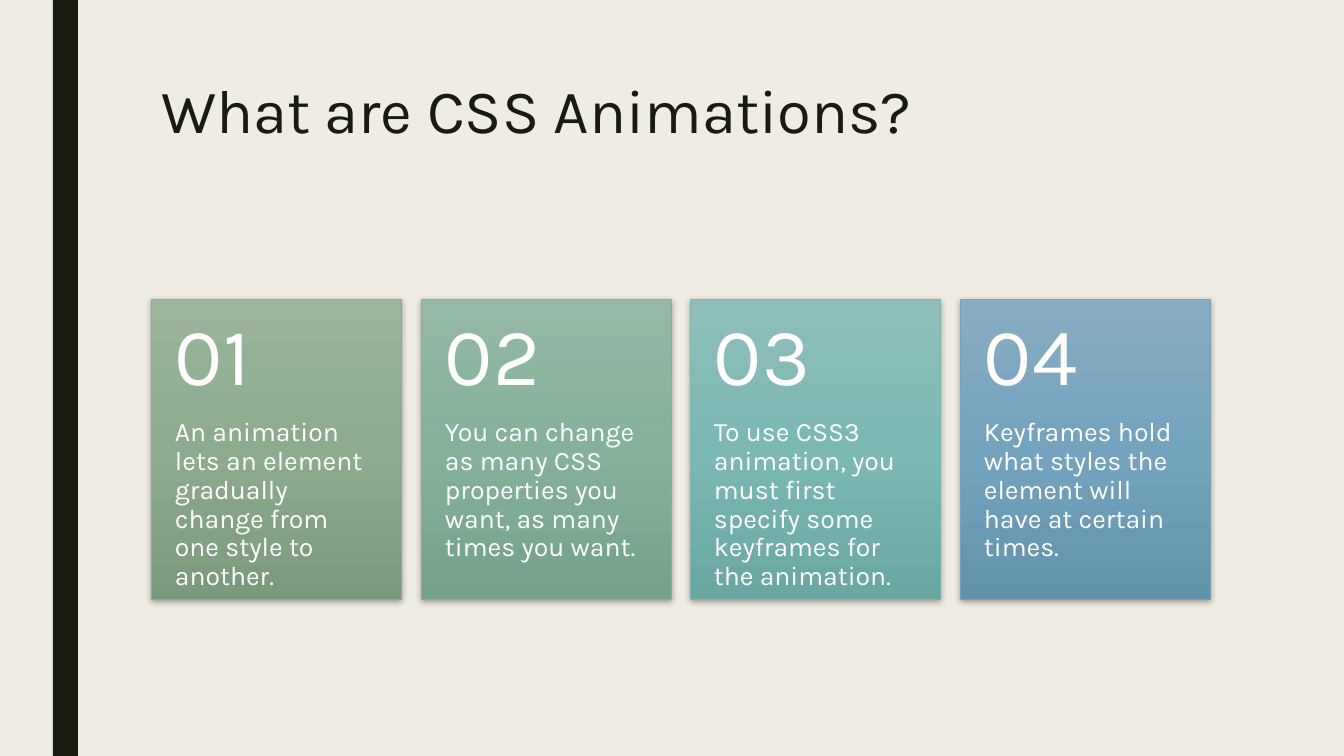
"""Builds the slide on CSS animations with four numbered cards."""
import copy

import pptx
import pptx.dml.color
import pptx.enum.shapes
import pptx.enum.text
import pptx.oxml
import pptx.oxml.ns
import pptx.util

RGB = pptx.dml.color.RGBColor
PAPER = RGB(0xEF, 0xED, 0xE3)
INK = RGB(0x19, 0x1B, 0x0E)
WHITE = RGB(0xFF, 0xFF, 0xFF)
SAGE = [RGB(0x9B, 0xB5, 0x9B), RGB(0x8C, 0xAC, 0x8D), RGB(0x7A, 0x9B, 0x7B)]
GREEN = [RGB(0x94, 0xB9, 0xA6), RGB(0x84, 0xB2, 0x9A), RGB(0x73, 0xA1, 0x89)]
TEAL = [RGB(0x8E, 0xBE, 0xBA), RGB(0x7C, 0xB8, 0xB4), RGB(0x6B, 0xA7, 0xA2)]
BLUE = [RGB(0x88, 0xAD, 0xC3), RGB(0x74, 0xA3, 0xBE), RGB(0x63, 0x92, 0xAD)]
SAGE_EDGE = RGB(0x8D, 0xAB, 0x8E)
GREEN_EDGE = RGB(0x86, 0xB0, 0x9A)
TEAL_EDGE = RGB(0x7E, 0xB6, 0xB1)
BLUE_EDGE = RGB(0x77, 0xA2, 0xBB)

CARDS = [
    ("An animation lets an element gradually change from one style to another.", SAGE, SAGE_EDGE),
    ("You can change as many CSS properties you want, as many times you want.", GREEN, GREEN_EDGE),
    ("To use CSS3 animation, you must first specify some keyframes for the animation.", TEAL, TEAL_EDGE),
    ("Keyframes hold what styles the element will have at certain times.", BLUE, BLUE_EDGE),
]
LEFT, RIGHT, TOP = 151, 1210, 299
WIDE, HIGH, HEAD = 250, 300, 120

SHADE = (
    '<a:outerShdw %s blurRad="57150" dist="19050" dir="5400000" algn="ctr" rotWithShape="0">'
    '<a:srgbClr val="000000"><a:alpha val="35000"/></a:srgbClr></a:outerShdw>'
    % pptx.oxml.ns.nsdecls("a")
)


def px(num):
    return pptx.util.Emu(round(num * 914400 / 100.8))


class Deck:
    """Holds the font and the current slide and draws each kind of element."""

    font = "Karla"
    rect = pptx.enum.shapes.MSO_SHAPE.RECTANGLE
    top = pptx.enum.text.MSO_ANCHOR.TOP
    mid = pptx.enum.text.MSO_ANCHOR.MIDDLE

    def __init__(self):
        self.file = pptx.Presentation()
        self.file.slide_width, self.file.slide_height = px(1344), px(756)
        self.slide = self.file.slides.add_slide(self.file.slide_layouts[5])
        fill = self.slide.background.fill
        fill.solid()
        fill.fore_color.rgb = PAPER

    def set_text(self, shape, text, size, color, space, pads, anchor):
        frame = shape.text_frame
        frame.word_wrap = True
        frame.auto_size = pptx.enum.text.MSO_AUTO_SIZE.NONE
        frame.vertical_anchor = anchor
        frame.margin_left, frame.margin_top, frame.margin_right, frame.margin_bottom = map(px, pads)
        para = frame.paragraphs[0]
        para.alignment = pptx.enum.text.PP_ALIGN.LEFT
        para.line_spacing = space
        run = para.add_run()
        run.text = text
        run.font.name = self.font
        run.font.size = pptx.util.Pt(size)
        run.font.color.rgb = color

    def title(self, text, *box):
        shape = self.slide.shapes.title
        shape.left, shape.top, shape.width, shape.height = map(px, box)
        self.set_text(shape, text, 44, INK, 0.89, (10, 5, 10, 5), self.top)

    def bar(self, *box):
        shape = self.slide.shapes.add_shape(self.rect, *map(px, box))
        shape.shadow.inherit = False
        shape.fill.solid()
        shape.fill.fore_color.rgb = INK
        shape.line.fill.background()

    def panel(self, group, tones, edge, *box):
        shape = group.shapes.add_shape(self.rect, *map(px, box))
        shape.fill.gradient()
        shape.fill.gradient_angle = 270
        props = shape._element.spPr
        stops = props.find(".//" + pptx.oxml.ns.qn("a:gsLst"))
        stops.insert(1, copy.deepcopy(stops[0]))
        for step, (stop, tone) in enumerate(zip(shape.fill.gradient_stops, tones)):
            stop.position = step / 2
            stop.color.rgb = tone
        shape.line.color.rgb = edge
        shape.line.width = pptx.util.Pt(0.5)
        shape.shadow.inherit = False
        props.find(pptx.oxml.ns.qn("a:effectLst")).append(pptx.oxml.parse_xml(SHADE))

    def label(self, group, text, size, pads, anchor, *box):
        shape = group.shapes.add_textbox(*map(px, box))
        self.set_text(shape, text, size, WHITE, 0.9, pads, anchor)

    def card(self, group, num, left, text, tones, edge):
        self.panel(group, tones, edge, left, TOP, WIDE, HIGH)
        self.label(group, text, 19, (24, 0, 24, 36), self.top, left, TOP + HEAD, WIDE, HIGH - HEAD)
        self.label(group, f"{num:02}", 58, (24, 18, 24, 18), self.mid, left, TOP, WIDE, HEAD)


def main():
    deck = Deck()
    deck.bar(53, 0, 25, 756)
    deck.title("What are CSS Animations?", LEFT, 76, RIGHT - LEFT, 163)
    group = deck.slide.shapes.add_group_shape()
    step = (RIGHT - LEFT - WIDE) / (len(CARDS) - 1)
    for i, card in enumerate(CARDS):
        deck.card(group, i + 1, round(LEFT + i * step), *card)
    deck.file.save("out.pptx")


if __name__ == "__main__":
    main()
